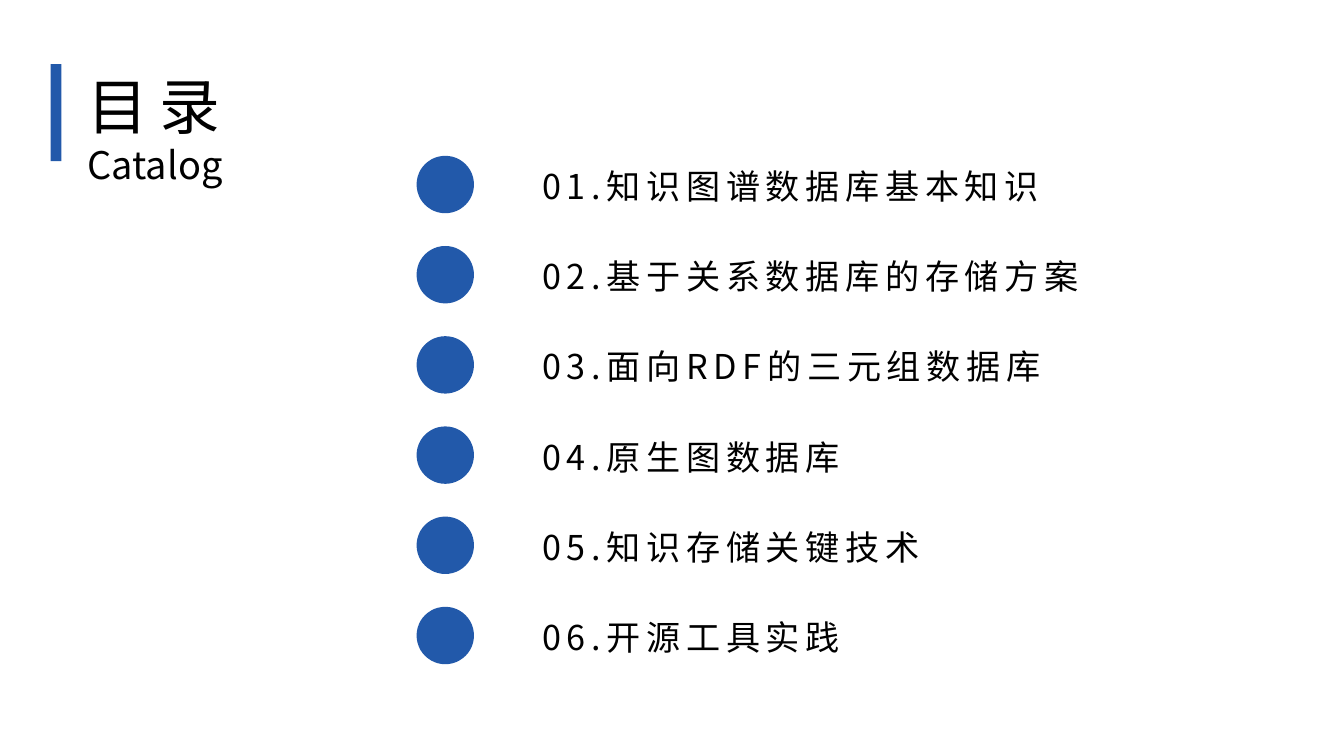
from dataclasses import dataclass

from lxml.etree import SubElement
from pptx import Presentation
from pptx.dml.color import RGBColor
from pptx.enum.shapes import MSO_SHAPE
from pptx.enum.text import MSO_AUTO_SIZE
from pptx.oxml.ns import qn
from pptx.util import Inches, Pt

TITLE = "目录"
SUBTITLE = "Catalog"
CHAPTERS = [
    "01.知识图谱数据库基本知识",
    "02.基于关系数据库的存储方案",
    "03.面向RDF的三元组数据库",
    "04.原生图数据库",
    "05.知识存储关键技术",
    "06.开源工具实践",
]


@dataclass(frozen=True)
class Theme:
    accent: RGBColor = RGBColor(0x22, 0x59, 0xAA)
    text: RGBColor = RGBColor(0, 0, 0)
    font: str = "Noto Sans CJK SC"
    title_size: int = 32
    subtitle_size: int = 20
    chapter_size: int = 18
    title_spacing: int = 6
    chapter_spacing: int = 3


THEME = Theme()
ROW_PITCH = 0.66
DOT_LEFT, DOT_TOP, DOT_SIZE = 3.05, 1.14, 0.42
CHAPTER_LEFT, CHAPTER_TOP, CHAPTER_WIDTH, CHAPTER_HEIGHT = 3.9, 1.17, 4.33, 0.38


def add_accent(slide, kind, left, top, width, height):
    shape = slide.shapes.add_shape(
        kind, Inches(left), Inches(top), Inches(width), Inches(height)
    )
    shape.shadow.inherit = False
    shape.fill.solid()
    shape.fill.fore_color.rgb = THEME.accent
    shape.line.fill.background()


def add_text(slide, left, top, width, height, lines, wrap=True):
    box = slide.shapes.add_textbox(
        Inches(left), Inches(top), Inches(width), Inches(height)
    )
    frame = box.text_frame
    frame.word_wrap = wrap
    frame.auto_size = MSO_AUTO_SIZE.SHAPE_TO_FIT_TEXT
    frame.margin_left = frame.margin_right = Inches(0.07)
    frame.margin_top = frame.margin_bottom = Inches(0.04)
    frame.text = "\n".join(text for text, size, spacing in lines)
    for paragraph, (text, size, spacing) in zip(frame.paragraphs, lines):
        font = paragraph.font
        font.size = Pt(size)
        font.color.rgb = THEME.text
        font.name = THEME.font
        properties = paragraph._p.pPr.find(qn("a:defRPr"))
        properties.set("spc", str(spacing * 100))
        SubElement(properties, qn("a:ea"), typeface=THEME.font)


def main():
    presentation = Presentation()
    presentation.slide_width = Inches(9.84)
    presentation.slide_height = Inches(5.51)
    slide = presentation.slides.add_slide(presentation.slide_layouts[6])

    add_accent(slide, MSO_SHAPE.RECTANGLE, 0.37, 0.47, 0.08, 0.71)
    heading = [
        (TITLE, THEME.title_size, THEME.title_spacing),
        (SUBTITLE, THEME.subtitle_size, 0),
    ]
    add_text(slide, 0.57, 0.46, 1.21, 0.95, heading, wrap=False)

    for row, chapter in enumerate(CHAPTERS):
        offset = row * ROW_PITCH
        add_accent(
            slide, MSO_SHAPE.OVAL, DOT_LEFT, DOT_TOP + offset, DOT_SIZE, DOT_SIZE
        )
        add_text(
            slide, CHAPTER_LEFT, CHAPTER_TOP + offset, CHAPTER_WIDTH, CHAPTER_HEIGHT,
            [(chapter, THEME.chapter_size, THEME.chapter_spacing)],
        )

    presentation.save("out.pptx")


if __name__ == "__main__":
    main()
